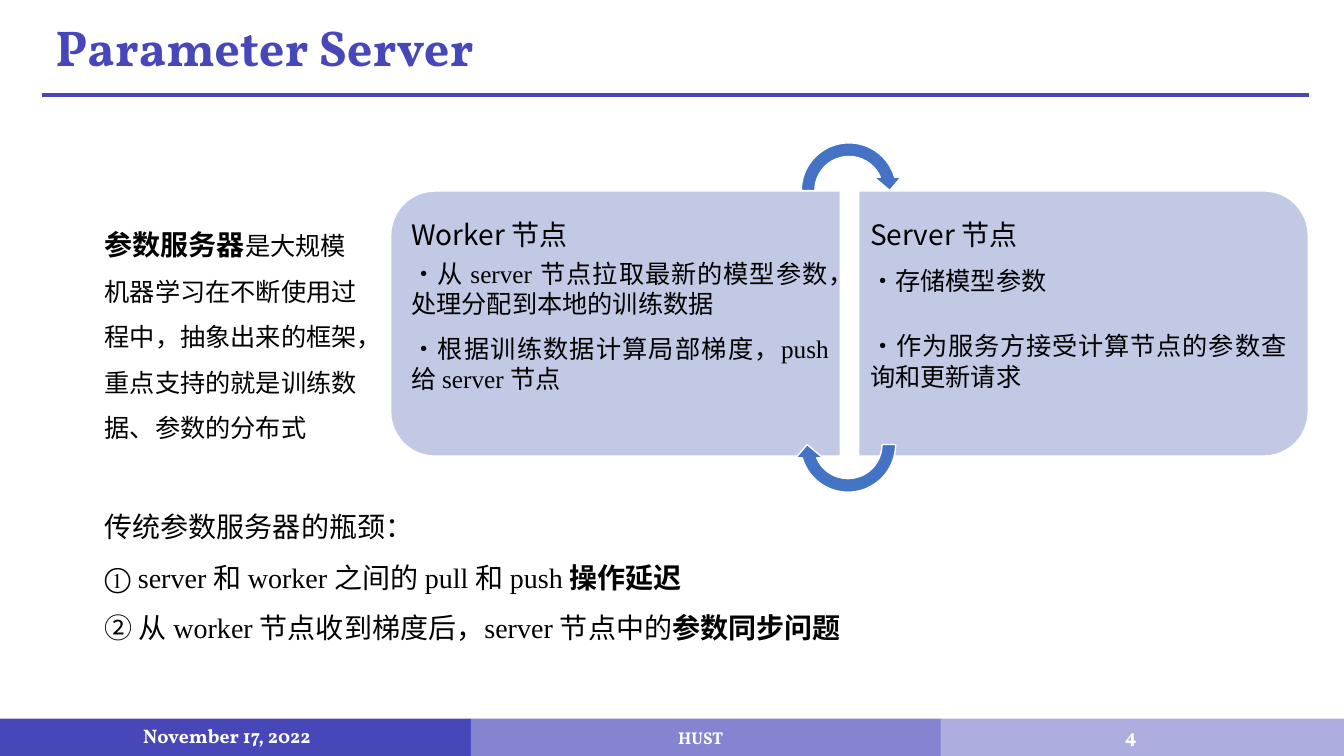
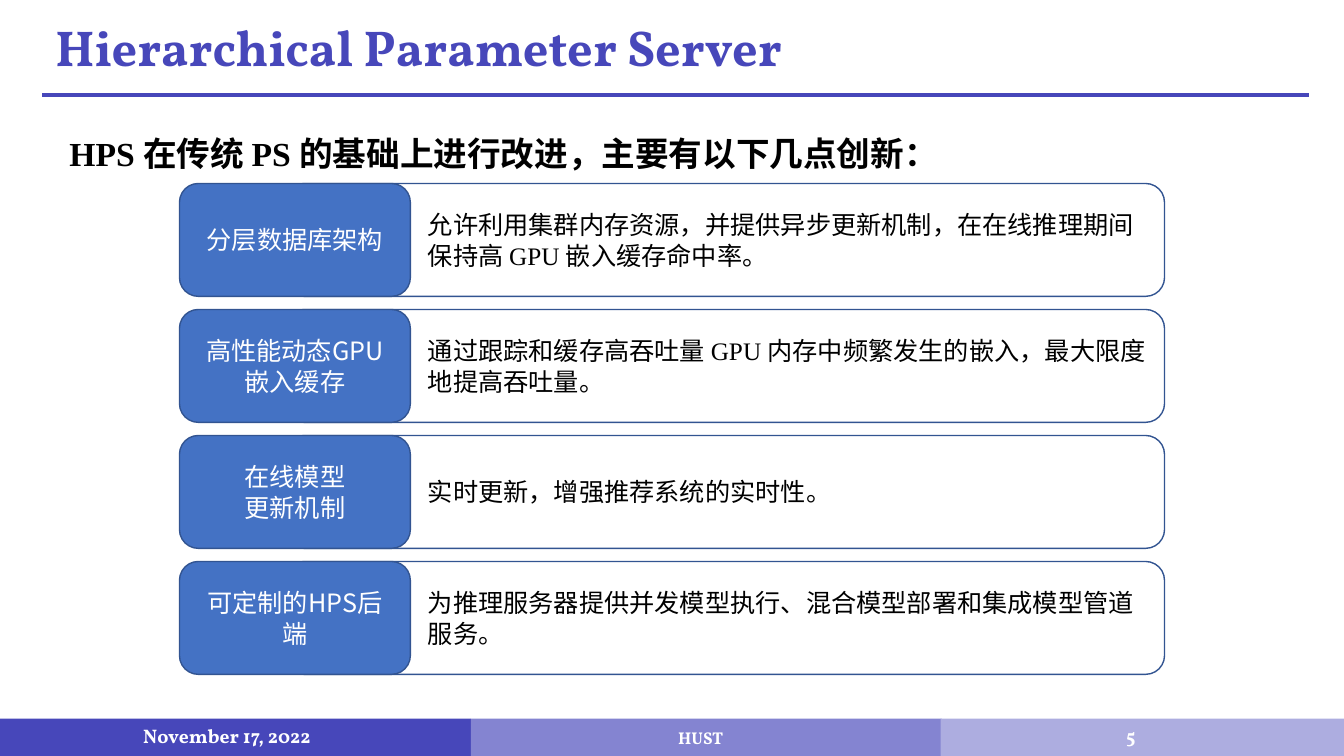
from dataclasses import dataclass
from typing import NamedTuple

from lxml import etree
from pptx import Presentation
from pptx.dml.color import RGBColor
from pptx.enum.shapes import MSO_CONNECTOR, MSO_SHAPE
from pptx.enum.text import MSO_ANCHOR, PP_ALIGN
from pptx.oxml.ns import qn
from pptx.util import Inches, Pt

RECT = MSO_SHAPE.RECTANGLE
ROUNDED = MSO_SHAPE.ROUNDED_RECTANGLE
ROUND_TOP = MSO_SHAPE.ROUND_2_SAME_RECTANGLE
ARROW = MSO_SHAPE.CIRCULAR_ARROW
STRAIGHT = MSO_CONNECTOR.STRAIGHT
LEFT, CENTER, JUSTIFY = PP_ALIGN.LEFT, PP_ALIGN.CENTER, PP_ALIGN.JUSTIFY
TOP, MIDDLE = MSO_ANCHOR.TOP, MSO_ANCHOR.MIDDLE

SANS, SERIF, DISPLAY = "Noto Sans CJK SC", "Times New Roman", "Vollkorn"
BLACK, WHITE = "000000", "FFFFFF"
INDIGO, VIOLET, LILAC = "4747BA", "8484D1", "ADADE0"
BLUE, NAVY, PALE = "4472C4", "325491", "C1C9E4"

DEFAULT_INSETS = (0.1, 0.05, 0.1, 0.05)
CARD_INSETS = (1.36, 0.05, 0.1, 0.05)
PANEL_CORNERS = (0.167, 0)
ARROW_SWEEP = (0.125, 11.423, 204.577, 108, 0.125)
FEATURE_TOP, FEATURE_PITCH, FEATURE_HEIGHT = 1.82, 1.25, 1.12
DATE, SCHOOL = "November 17, 2022", "HUST"


class Box(NamedTuple):
    """Left, top, width and height in inches."""
    left: float
    top: float
    width: float
    height: float


class Run(NamedTuple):
    """A stretch of text; without a size it takes that of its paragraph."""
    text: str
    font: str = SANS
    bold: bool = False
    size: float | None = None


@dataclass
class Para:
    """A paragraph with its runs and layout."""
    runs: list[Run]
    size: float = 18
    color: str = BLACK
    align: PP_ALIGN = LEFT
    line: float = 1.0
    before: float = 0
    after: float = 0


class Band(NamedTuple):
    """A coloured stretch of the footer."""
    left: float
    width: float
    color: str


@dataclass
class Panel:
    """A half of the node diagram, with its text and arrow."""
    shape_box: Box
    rotation: float
    text_box: Box
    insets: tuple[float, float, float, float]
    paras: list[Para]
    arrow_box: Box
    arrow_rotation: float


class Feature(NamedTuple):
    """A label of one or more lines and its description."""
    label: list[str]
    description: str
    font: str = SANS


def rgb(color: str) -> RGBColor:
    """Turn a hex string into a colour."""
    return RGBColor.from_string(color)


def put_text(shape, paras: list[Para], anchor=TOP, insets=DEFAULT_INSETS) -> None:
    """Write paragraphs into a shape or text box."""
    tf = shape.text_frame
    tf.word_wrap = True
    tf.vertical_anchor = anchor
    (tf.margin_left, tf.margin_top,
     tf.margin_right, tf.margin_bottom) = map(Inches, insets)
    for i, para in enumerate(paras):
        p = tf.add_paragraph() if i else tf.paragraphs[0]
        p.alignment = para.align
        p.line_spacing = para.line
        p.space_before, p.space_after = Pt(para.before), Pt(para.after)
        p.font.size = Pt(para.size)
        p.font.color.rgb = rgb(para.color)
        uniform = len({(run.font, run.bold) for run in para.runs}) == 1
        for run in para.runs:
            r = p.add_run()
            r.text = run.text
            font = p.font if uniform else r.font
            font.name, font.bold = run.font, run.bold
            if run.size:
                r.font.size = Pt(run.size)
            etree.SubElement(r._r.get_or_add_rPr(), qn("a:ea"), typeface=SANS)


def add_text(s, box: Box, paras: list[Para], anchor=TOP,
             insets=DEFAULT_INSETS) -> None:
    """Add a text box."""
    put_text(s.shapes.add_textbox(*map(Inches, box)), paras, anchor, insets)


def add_shape(s, kind, box: Box, fill: str, line: str = "",
              rotation: float = 0, adjustments=()):
    """Add a filled preset shape, outlined if a line colour is given."""
    sp = s.shapes.add_shape(kind, *map(Inches, box))
    sp.shadow.inherit = False
    sp.rotation = rotation
    sp.fill.solid()
    sp.fill.fore_color.rgb = rgb(fill)
    if line:
        sp.line.color.rgb = rgb(line)
        sp.line.width = Pt(1)
    else:
        sp.line.fill.background()
    for i, value in enumerate(adjustments):
        sp.adjustments[i] = value
    return sp


def display_para(text: str, size: float, color: str = WHITE, align=CENTER,
                 line: float = 1.0, before: float = 0) -> Para:
    """Make a bold paragraph in the display font."""
    return Para([Run(text, DISPLAY, True)], size, color, align, line, before)


def node_para(*runs: Run, size: float = 18, after: float = 10) -> Para:
    """Make a justified paragraph for a node panel."""
    return Para(list(runs), size, align=JUSTIFY, after=after)


FOOTER_BANDS = [
    Band(0, 4.67, INDIGO),
    Band(4.67, 4.67, VIOLET),
    Band(9.33, 4, LILAC),
]

INTRO = Para([
    Run("参数服务器", bold=True, size=20),
    Run("是大规模机器学习在不断使用过程中，抽象出来的框架，"
        "重点支持的就是训练数据、参数的分布式"),
], line=1.5)

PANELS = [
    Panel(shape_box=Box(4.79, 0.98, 2.63, 4.46), rotation=270,
          text_box=Box(4, 2.02, 4.34, 2.38), insets=(0.08, 0.14, 0.12, 0.14),
          paras=[
              node_para(Run("Worker 节点"), size=20, after=5),
              node_para(Run("·从 "), Run("server ", SERIF),
                        Run("节点拉取最新的模型参数，处理分配到本地的训练数据")),
              node_para(Run("·根据训练数据计算局部梯度，"),
                        Run("push给 server 节点", SERIF)),
          ],
          arrow_box=Box(7.88, 1.35, 1.08, 1.08), arrow_rotation=0),
    Panel(shape_box=Box(9.43, 0.98, 2.63, 4.46), rotation=90,
          text_box=Box(8.51, 2.02, 4.33, 2.38), insets=(0.12, 0.14, 0.08, 0.14),
          paras=[
              node_para(Run("Server 节点"), size=20),
              node_para(Run("·存储模型参数"), after=25),
              node_para(Run("·作为服务方接受计算节点的参数查询和更新请求"), after=25),
          ],
          arrow_box=Box(7.87, 3.87, 1.08, 1.08), arrow_rotation=180),
]

BOTTLENECKS = [
    [Run("传统参数服务器的瓶颈：", SERIF)],
    [Run("① server 和 worker 之间的 pull 和 push ", SERIF),
     Run("操作延迟", SERIF, True)],
    [Run("② 从 worker 节点收到梯度后，server 节点中的", SERIF),
     Run("参数同步问题", SERIF, True)],
]

HPS_LEAD = Para(
    [Run("HPS 在传统 PS 的基础上进行改进，主要有以下几点创新：", SERIF, True)],
    24, line=1.5)

FEATURES = [
    Feature(["分层数据库架构"],
            "允许利用集群内存资源，并提供异步更新机制，在在线推理期间保持高 GPU 嵌入缓存命中率。",
            SERIF),
    Feature(["高性能动态GPU", "嵌入缓存"],
            "通过跟踪和缓存高吞吐量 GPU 内存中频繁发生的嵌入，最大限度地提高吞吐量。",
            SERIF),
    Feature(["在线模型", "更新机制"], "实时更新，增强推荐系统的实时性。"),
    Feature(["可定制的HPS后端"],
            "为推理服务器提供并发模型执行、混合模型部署和集成模型管道服务。"),
]


def add_footer(s, number: int) -> None:
    """Add the footer bands with date, school and slide number."""
    for band in FOOTER_BANDS:
        add_shape(s, RECT, Box(band.left, 7.13, band.width, 0.37), band.color)
    add_text(s, Box(1.32, 7.1, 2.02, 0.4),
             [display_para(DATE, 14, align=LEFT)], MIDDLE)
    add_text(s, Box(4.48, 7.17, 4.94, 0.3), [display_para(SCHOOL, 12.2)], MIDDLE)
    add_text(s, Box(10.77, 7, 0.89, 0.6), [display_para(str(number), 14)], MIDDLE)


def add_title(s, title: str) -> None:
    """Add the title and the rule under it."""
    rule = s.shapes.add_connector(
        STRAIGHT, *map(Inches, (0.42, 0.94, 12.98, 0.94)))
    rule.line.color.rgb = rgb(INDIGO)
    rule.line.width = Pt(3)
    etree.SubElement(rule._element.spPr, qn("a:effectLst"))
    add_text(s, Box(0.45, 0.18, 7.44, 0.65),
             [display_para(title, 36, INDIGO, LEFT, line=0.9, before=10)])


def add_frame(prs, title: str, number: int):
    """Add a blank slide with the shared footer and title."""
    s = prs.slides.add_slide(prs.slide_layouts[6])
    add_footer(s, number)
    add_title(s, title)
    return s


def add_feature(s, feature: Feature, top: float) -> None:
    """Add a description card with its label over the left end."""
    card = add_shape(s, ROUNDED, Box(2.83, top, 8.72, FEATURE_HEIGHT), WHITE, NAVY)
    put_text(card, [Para([Run(feature.description, feature.font)])], MIDDLE,
             CARD_INSETS)
    label = add_shape(s, ROUNDED, Box(1.78, top, 2.29, FEATURE_HEIGHT), BLUE, NAVY)
    put_text(label, [Para([Run(text)], color=WHITE, align=CENTER)
                     for text in feature.label], MIDDLE)


def build_parameter_server(prs) -> None:
    """Build the slide on worker and server nodes."""
    s = add_frame(prs, "Parameter Server", 4)
    add_text(s, Box(0.94, 2.04, 2.78, 2.35), [INTRO])
    for panel in PANELS:
        add_shape(s, ROUND_TOP, panel.shape_box, PALE, WHITE, panel.rotation,
                  PANEL_CORNERS)
        add_text(s, panel.text_box, panel.paras, insets=panel.insets)
    for panel in PANELS:
        add_shape(s, ARROW, panel.arrow_box, BLUE, WHITE, panel.arrow_rotation,
                  ARROW_SWEEP)
    add_text(s, Box(0.94, 4.84, 7.83, 1.56),
             [Para(runs, 20, line=1.5) for runs in BOTTLENECKS])


def build_hierarchical_server(prs) -> None:
    """Build the slide on the four innovations of HPS."""
    s = add_frame(prs, "Hierarchical Parameter Server", 5)
    add_text(s, Box(0.59, 1.07, 8.83, 0.63), [HPS_LEAD])
    for i, feature in enumerate(FEATURES):
        add_feature(s, feature, FEATURE_TOP + i * FEATURE_PITCH)


def main() -> None:
    """Build and save the presentation."""
    prs = Presentation()
    prs.slide_width, prs.slide_height = Inches(13.33), Inches(7.5)
    build_parameter_server(prs)
    build_hierarchical_server(prs)
    prs.save("out.pptx")


main()
